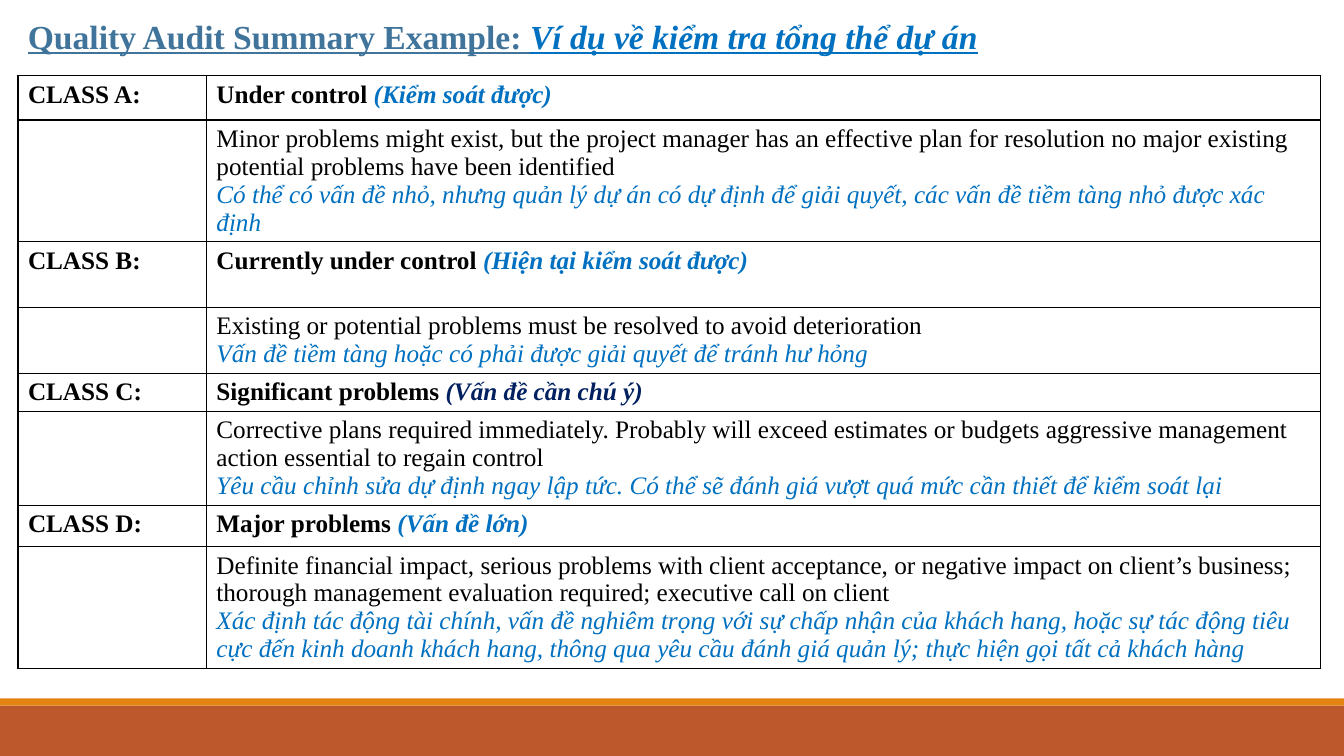
import pptx
import pptx.dml.color
import pptx.enum.shapes
import pptx.enum.text
import pptx.oxml
import pptx.oxml.ns
import pptx.util

Pt = pptx.util.Pt
RGBColor = pptx.dml.color.RGBColor

BLACK = RGBColor(0x00, 0x00, 0x00)
BLUE = RGBColor(0x00, 0x70, 0xC0)
NAVY = RGBColor(0x00, 0x20, 0x60)
STEEL = RGBColor(0x40, 0x74, 0x9B)
RUST = RGBColor(0xBD, 0x58, 0x2C)
ORANGE = RGBColor(0xE4, 0x83, 0x12)

SLIDE_WIDTH, SLIDE_HEIGHT = 960, 540
COLUMN_WIDTHS = [134.6, 795.6]
ROW_HEIGHTS = [31.7, 46.8, 46.8, 46.8, 27.4, 46.8, 29.5, 46.8]

CLASSES = [
    ("CLASS A:", "Under control ", "(Kiểm soát được)", BLUE,
     "Minor problems might exist, but the project manager has an effective plan for resolution "
     "no major existing potential problems have been identified",
     "Có thể có vấn đề nhỏ, nhưng quản lý dự án có dự định để giải quyết, "
     "các vấn đề tiềm tàng nhỏ được xác định"),
    ("CLASS B:", "Currently under control ", "(Hiện tại kiểm soát được)", BLUE,
     "Existing or potential problems must be resolved to avoid deterioration",
     "Vấn đề tiềm tàng hoặc có phải được giải quyết để tránh hư hỏng"),
    ("CLASS C:", "Significant problems ", "(Vấn đề cần chú ý)", NAVY,
     "Corrective plans required immediately. Probably will exceed estimates or budgets "
     "aggressive management action essential to regain control",
     "Yêu cầu chỉnh sửa dự định ngay lập tức. Có thể sẽ đánh giá vượt quá mức cần thiết "
     "để kiểm soát lại"),
    ("CLASS D:", "Major problems ", "(Vấn đề lớn)", BLUE,
     "Definite financial impact, serious problems with client acceptance, or negative impact on "
     "client’s business; thorough management evaluation required; executive call on client",
     "Xác định tác động tài chính, vấn đề nghiêm trọng với sự chấp nhận của khách hang, "
     "hoặc sự tác động tiêu cực đến kinh doanh khách hang, thông qua yêu cầu đánh giá quản lý; "
     "thực hiện gọi tất cả khách hàng"),
]


class SlideBuilder:
    font_name = "Times New Roman"
    body_size = 18
    title_size = 24
    border_width = 1

    def __init__(self, slide):
        self.slide = slide

    def add_run(self, paragraph, text, color, size=body_size, bold=False, italic=False, underline=False):
        run = paragraph.add_run()
        run.text = text
        font = run.font
        font.name = self.font_name
        font.size = Pt(size)
        font.color.rgb = color
        font.bold, font.italic, font.underline = bold, italic, underline

    def add_band(self, top, height, color):
        band = self.slide.shapes.add_shape(
            pptx.enum.shapes.MSO_SHAPE.RECTANGLE, 0, Pt(top), Pt(SLIDE_WIDTH), Pt(height))
        band.shadow.inherit = False
        band.fill.solid()
        band.fill.fore_color.rgb = color
        band.line.fill.background()

    def add_title(self, left, top, width, height, english, vietnamese):
        frame = self.slide.shapes.add_textbox(Pt(left), Pt(top), Pt(width), Pt(height)).text_frame
        frame.word_wrap = True
        frame.auto_size = pptx.enum.text.MSO_AUTO_SIZE.SHAPE_TO_FIT_TEXT
        paragraph = frame.paragraphs[0]
        self.add_run(paragraph, english, STEEL, self.title_size, bold=True, underline=True)
        self.add_run(paragraph, vietnamese, BLUE, self.title_size, bold=True, italic=True, underline=True)

    def set_borders(self, cell):
        properties = cell._tc.get_or_add_tcPr()
        for position, side in enumerate(("lnL", "lnR", "lnT", "lnB")):
            border = pptx.oxml.parse_xml(
                f'<a:{side} {pptx.oxml.ns.nsdecls("a")} w="{Pt(self.border_width)}">'
                f'<a:solidFill><a:srgbClr val="{BLACK}"/></a:solidFill></a:{side}>')
            properties.insert(position, border)

    def add_table(self, left, top, height):
        shape = self.slide.shapes.add_table(
            len(ROW_HEIGHTS), len(COLUMN_WIDTHS), Pt(left), Pt(top),
            Pt(sum(COLUMN_WIDTHS)), Pt(sum(ROW_HEIGHTS)))
        table = shape.table
        table.first_row = table.horz_banding = False
        for column, width in zip(table.columns, COLUMN_WIDTHS):
            column.width = Pt(width)
        for row, row_height in zip(table.rows, ROW_HEIGHTS):
            row.height = Pt(row_height)
        shape.height = Pt(height)
        for cell in table.iter_cells():
            cell.fill.background()
            self.set_borders(cell)
        return table

    def fill_class(self, table, row, label, status, status_note, note_color, english, vietnamese):
        self.add_run(table.cell(row, 0).text_frame.paragraphs[0], label, BLACK, bold=True)
        heading = table.cell(row, 1).text_frame.paragraphs[0]
        self.add_run(heading, status, BLACK, bold=True)
        self.add_run(heading, status_note, note_color, bold=True, italic=True)
        description = table.cell(row + 1, 1).text_frame
        self.add_run(description.paragraphs[0], english, BLACK)
        self.add_run(description.add_paragraph(), vietnamese, BLUE, italic=True)


def main():
    presentation = pptx.Presentation()
    presentation.slide_width = Pt(SLIDE_WIDTH)
    presentation.slide_height = Pt(SLIDE_HEIGHT)
    builder = SlideBuilder(presentation.slides.add_slide(presentation.slide_layouts[6]))
    builder.add_band(504, 36, RUST)
    builder.add_band(498.8, 5.2, ORANGE)
    table = builder.add_table(12.8, 54, 446.4)
    for index, audit_class in enumerate(CLASSES):
        builder.fill_class(table, 2 * index, *audit_class)
    builder.add_title(12.8, 7.5, 780, 36, "Quality Audit Summary Example: ",
                      "Ví dụ về kiểm tra tổng thể dự án")
    presentation.save("out.pptx")


if __name__ == "__main__":
    main()
